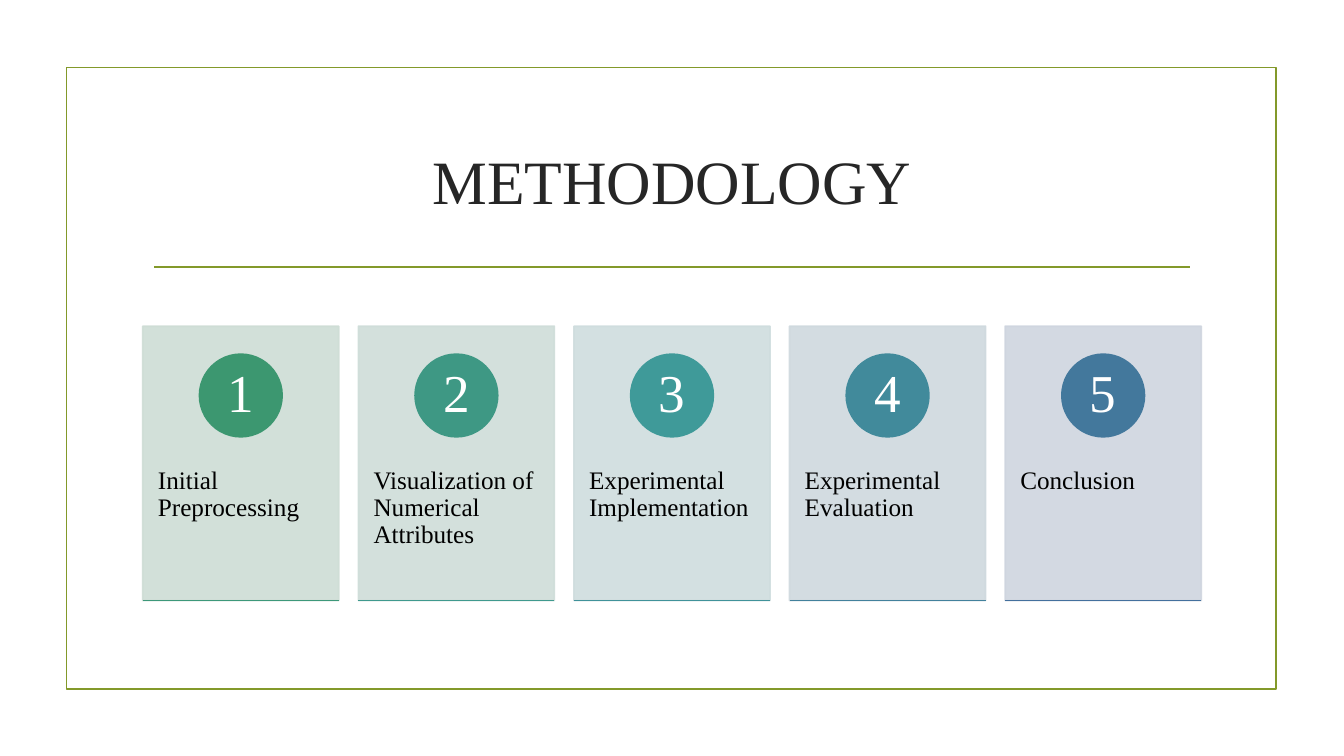
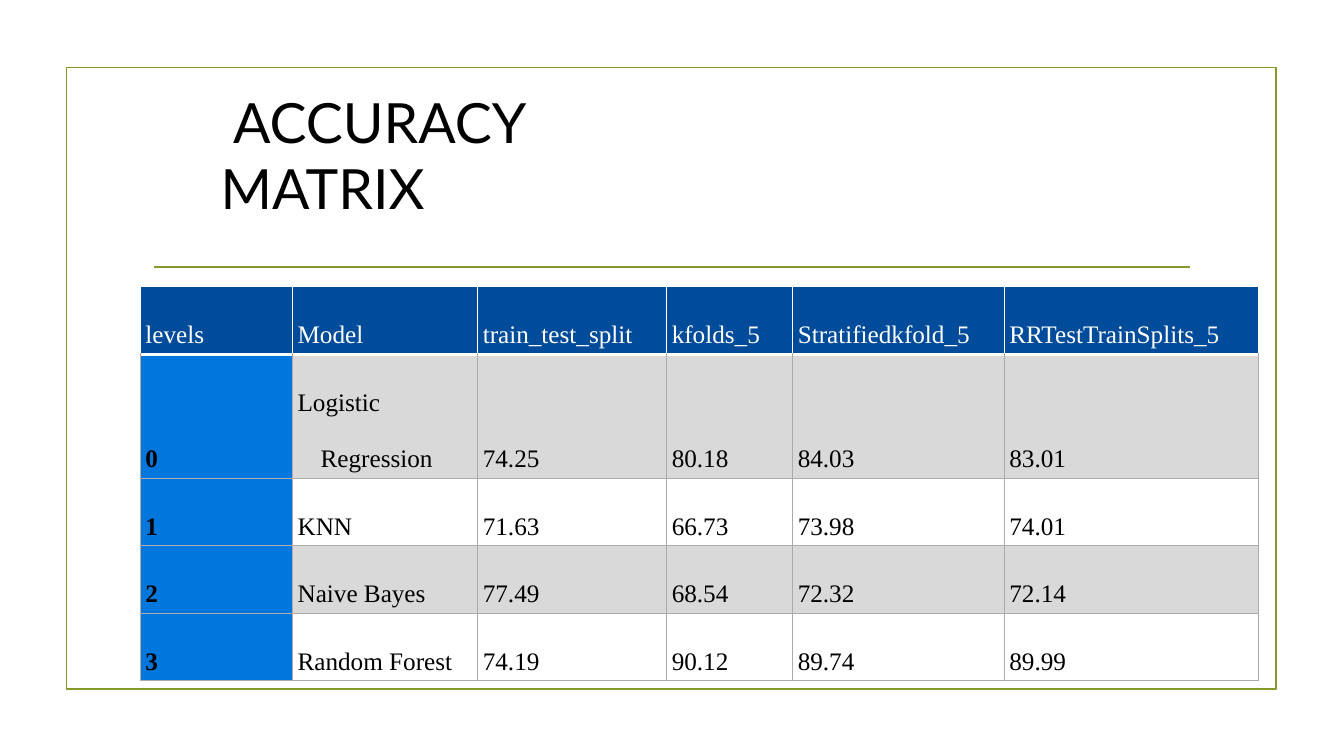
import pptx
import pptx.util
import pptx.dml.color
import pptx.enum.shapes
import pptx.enum.text
import pptx.oxml
import pptx.oxml.ns
from lxml import etree

Pt = pptx.util.Pt
RGB = pptx.dml.color.RGBColor.from_string
SHAPE = pptx.enum.shapes.MSO_SHAPE
ALIGN = pptx.enum.text.PP_ALIGN
ANCHOR = pptx.enum.text.MSO_ANCHOR
qn = pptx.oxml.ns.qn


class Theme:
    # Colours
    accent, title, black, white = "83992A", "262626", "000000", "FFFFFF"
    header, level, band, grid = "004C9B", "0077DC", "D9D9D9", "AEAAAA"
    # Fonts and sizes
    serif, sans = "Times New Roman", "Lato"
    title_size, small_title_size, number_size, body_size = 44, 39.6, 38, 18
    line_width, cell_line, header_line = 1.25, 1, 2.25


class Deck:
    def __init__(self, theme):
        self.theme = theme
        self.prs = pptx.Presentation()
        self.prs.slide_width, self.prs.slide_height = Pt(960), Pt(540)
        self.s = None

    def new_slide(self):
        """Start a title-only slide with the shared frame and rule."""
        t = self.theme
        self.s = self.prs.slides.add_slide(self.prs.slide_layouts[5])
        self.shape(SHAPE.RECTANGLE, (47.5, 48.2, 864, 444), None, t.accent)
        self.line(110.2, 850.3, 190.8, t.accent)

    def text(self, tf, text, font, align, anchor, margins, spacing=1.0):
        """Write one paragraph; margins run left, top, right, bottom."""
        tf.word_wrap = True
        tf.vertical_anchor = anchor
        for side, value in zip(("left", "top", "right", "bottom"), margins):
            setattr(tf, "margin_" + side, Pt(value))
        p = tf.paragraphs[0]
        p.alignment, p.line_spacing = align, spacing
        r = p.add_run()
        r.text = text
        self.font(r, **font)
        return p

    def font(self, r, color, **format_values):
        for name, value in format_values.items():
            setattr(r.font, name, Pt(value) if name == "size" else value)
        r.font.color.rgb = RGB(color)

    def indent(self, p, left, first):
        pPr = p._p.get_or_add_pPr()
        for name, value in {"marL": left, "indent": first}.items():
            pPr.set(name, str(Pt(value)))

    def title(self, text, box, font, first=0):
        sp = self.s.shapes.title
        sp.left, sp.top, sp.width, sp.height = map(Pt, box)
        tf = sp.text_frame
        tf.auto_size = pptx.enum.text.MSO_AUTO_SIZE.NONE
        p = self.text(tf, text, font, ALIGN.CENTER, ANCHOR.MIDDLE,
                      (7.2, 3.6, 7.2, 3.6))
        self.indent(p, 0, first)

    def shape(self, kind, box, fill, line, alpha=None):
        sp = self.s.shapes.add_shape(kind, *map(Pt, box))
        sp.shadow.inherit = False
        if fill:
            sp.fill.solid()
            sp.fill.fore_color.rgb = RGB(fill)
        else:
            sp.fill.background()
        sp.line.color.rgb = RGB(line)
        sp.line.width = Pt(self.theme.line_width)
        if alpha:
            for clr in sp._element.spPr.iter(qn("a:srgbClr")):
                etree.SubElement(clr, qn("a:alpha"), val=str(alpha * 1000))
        return sp

    def line(self, x1, x2, y, color):
        ln = self.s.shapes.add_connector(
            pptx.enum.shapes.MSO_CONNECTOR.STRAIGHT, Pt(x1), Pt(y), Pt(x2), Pt(y))
        ln.line.color.rgb = RGB(color)
        ln.line.width = Pt(self.theme.line_width)
        etree.SubElement(ln._element.spPr, qn("a:effectLst"))

    def card(self, number, text, box, colors):
        """Tinted panel with a numbered disc and a coloured base line."""
        t = self.theme
        x, y, w, h = box
        panel, disc, base = colors
        sp = self.shape(SHAPE.RECTANGLE, box, panel, panel, alpha=90)
        self.text(sp.text_frame, text,
                  dict(name=t.serif, size=t.body_size, color=t.black),
                  ALIGN.LEFT, ANCHOR.TOP, (10.8, 101, 10.8, 0), 0.9)
        d = 59
        sp = self.shape(SHAPE.OVAL, (x + (w - d) / 2, y + 20, d, d), disc, disc)
        self.text(sp.text_frame, str(number),
                  dict(name=t.serif, size=t.number_size, color=t.white),
                  ALIGN.CENTER, ANCHOR.MIDDLE, (0, 0, 0, 0), 0.9)
        self.line(x, x + w, y + h, base)

    def borders(self, cell, **sides):
        tcPr = cell._tc.get_or_add_tcPr()
        for side in "LRTB":
            color, width = sides[side]
            ln = etree.SubElement(tcPr, qn("a:ln" + side), w=str(Pt(width)))
            fill = etree.SubElement(ln, qn("a:solidFill"))
            etree.SubElement(fill, qn("a:srgbClr"), val=color)

    def cell(self, cell, text, row, col):
        t = self.theme
        head, level = row == 0, row > 0 and col == 0
        # Borders come before the fill in the cell properties
        side = (t.white if head else t.grid, t.cell_line)
        strong = (t.white, t.header_line)
        self.borders(cell, L=side, R=side, T=strong if row == 1 else side,
                     B=strong if head else side)
        fill = t.header if head else t.level if level else t.band if row % 2 else None
        if row == 3 and not level:
            fill = t.band
        if fill:
            cell.fill.solid()
            cell.fill.fore_color.rgb = RGB(fill)
        else:
            cell.fill.background()
        # Text
        cell.vertical_anchor = ANCHOR.BOTTOM
        for name in ("left", "top", "right", "bottom"):
            setattr(cell, "margin_" + name, Pt(3.6))
        p = cell.text_frame.paragraphs[0]
        p.alignment, p.line_spacing = ALIGN.JUSTIFY, 2.0
        if row or col:
            self.indent(p, 16.5, -16.5)
        r = p.add_run()
        r.text = text
        self.font(r, name=t.serif, size=t.body_size, bold=level,
                  color=t.white if head else t.black)

    def table(self, rows, left, top, widths, heights):
        table = self.s.shapes.add_table(
            len(rows), len(widths), Pt(left), Pt(top),
            Pt(sum(widths)), Pt(sum(heights))).table
        table.first_row = table.horz_banding = False
        for column, width in zip(table.columns, widths):
            column.width = Pt(width)
        for i, (row, height) in enumerate(zip(rows, heights)):
            table.rows[i].height = Pt(height)
            for j, text in enumerate(row):
                self.cell(table.cell(i, j), text, i, j)


STEPS = [  # text, (panel, disc, base line)
    ("Initial Preprocessing", ("CEDDD5", "3C9770", "3D987A")),
    ("Visualization of Numerical Attributes", ("CFDDD9", "3E9884", "3F998E")),
    ("Experimental Implementation", ("CFDDDE", "3F9A99", "40929A")),
    ("Experimental Evaluation", ("CFD9DE", "418A9B", "42819C")),
    ("Conclusion", ("CFD5DF", "43789C", "44709D")),
]

ACCURACY = [
    ("levels", "Model", "train_test_split", "kfolds_5", "Stratifiedkfold_5",
     "RRTestTrainSplits_5"),
    ("0", "Logistic Regression", "74.25", "80.18", "84.03", "83.01"),
    ("1", "KNN", "71.63", "66.73", "73.98", "74.01"),
    ("2", "Naive Bayes", "77.49", "68.54", "72.32", "72.14"),
    ("3", "Random Forest", "74.19", "90.12", "89.74", "89.99"),
]


def main():
    t = Theme()
    deck = Deck(t)

    # Methodology: five numbered cards
    deck.new_slide()
    deck.title("METHODOLOGY", (102, 77, 756, 103),
               dict(name=t.serif, size=t.title_size, color=t.title))
    width, gap = 140, 14
    for i, (text, colors) in enumerate(STEPS):
        deck.card(i + 1, text, (102 + i * (width + gap), 233, width, 196), colors)

    # Accuracy table
    deck.new_slide()
    deck.title("ACCURACY MATRIX", (66, 54, 329, 112.5),
               dict(name=t.sans, size=t.small_title_size, color=t.black), first=80)
    deck.table(ACCURACY, 100.3, 204.8, (108.7, 132.3, 135, 90, 151.2, 181.4),
               (48.2, 88.6, 48.2, 48.2, 48.2))

    deck.prs.save("out.pptx")


if __name__ == "__main__":
    main()
